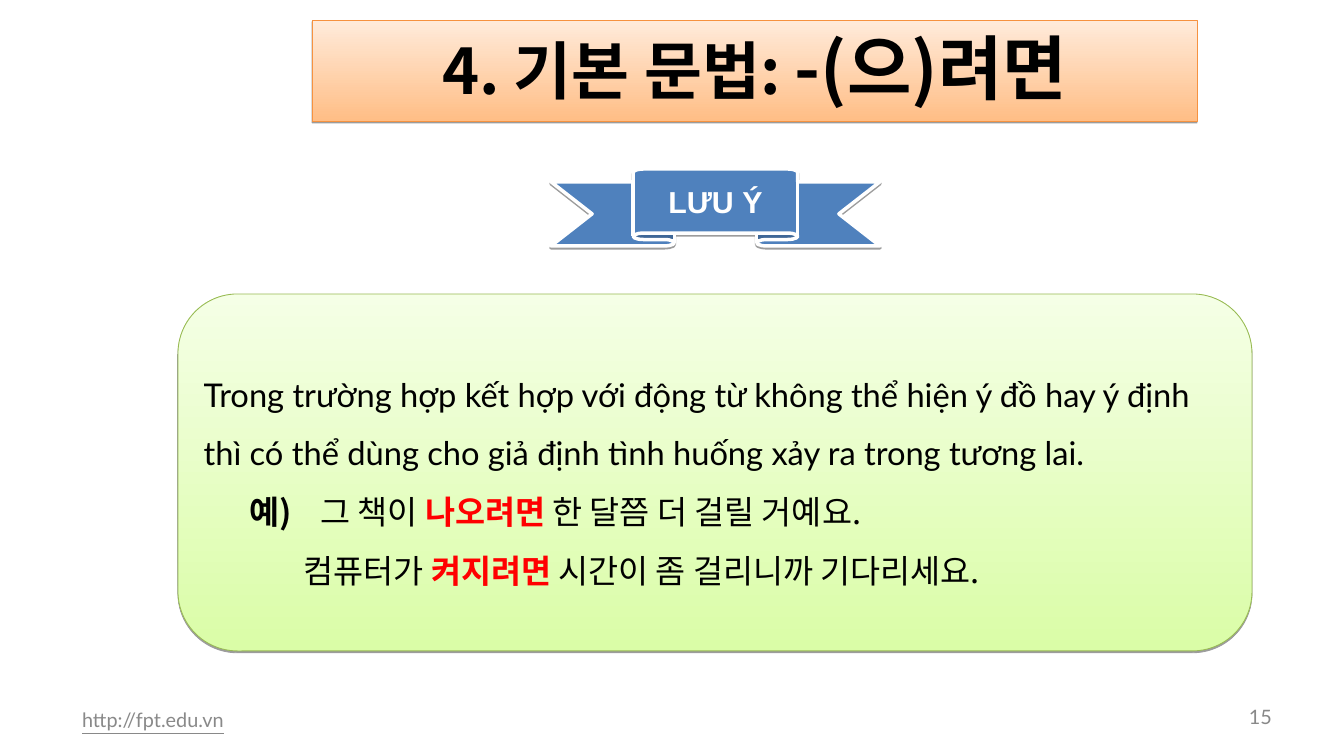
from lxml.etree import SubElement
from pptx import Presentation
from pptx.dml.color import RGBColor as RGB
from pptx.enum.shapes import MSO_SHAPE as SHAPE
from pptx.enum.text import MSO_ANCHOR as ANCHOR, MSO_AUTO_SIZE as AUTO, PP_ALIGN as ALIGN
from pptx.oxml.ns import qn
from pptx.util import Pt

PX = 914400 // 84
KOREAN = "Noto Sans CJK KR"
C = {"black": "000000", "white": "FFFFFF", "red": "FF0000", "grey": "898989",
     "blue": "4F81BD", "orange": "FFBE86", "peach": "FFEBDB", "orange_line": "F69240",
     "lime": "DAFDA7", "mint": "F5FFE6", "green_line": "98B954"}


def write(p, text, size=28, color="black", font=KOREAN, bold=False, underline=None):
    r = p.add_run()
    r.text = text
    f = r.font
    f.size, f.bold, f.underline = Pt(size), bold, underline
    f.color.rgb = RGB.from_string(C[color])
    f.name = font
    SubElement(r._r.get_or_add_rPr(), qn("a:ea"), typeface=font)


def style(sp, fill, line, width):
    """Fill with one colour or a bottom-to-top gradient, then outline and shadow."""
    if len(fill) == 1:
        sp.fill.solid()
        sp.fill.fore_color.rgb = RGB.from_string(C[fill[0]])
    else:
        sp.fill.gradient()
        sp.fill.gradient_angle = 90
        for stop, name in zip(sp.fill.gradient_stops, fill):
            stop.color.rgb = RGB.from_string(C[name])
    sp.line.color.rgb = RGB.from_string(C[line])
    sp.line.width = Pt(width)
    sp.shadow.inherit = False
    effects = sp._element.spPr.find(qn("a:effectLst"))
    shadow = SubElement(effects, qn("a:outerShdw"), blurRad="0", dist=str(Pt(1.6)),
                        dir="5400000", rotWithShape="0")
    black = SubElement(shadow, qn("a:srgbClr"), val=C["black"])
    SubElement(black, qn("a:alpha"), val="38000")


prs = Presentation()
prs.slide_width, prs.slide_height = 1344 * PX, 756 * PX
s = prs.slides.add_slide(prs.slide_layouts[5])

# Title bar
title = s.shapes.title
title.left, title.top, title.width, title.height = [v * PX for v in (312, 20, 885, 101)]
style(title, ("orange", "peach"), "orange_line", 0.75)
tf = title.text_frame
tf.auto_size, tf.word_wrap, tf.vertical_anchor = AUTO.NONE, True, ANCHOR.TOP
p = tf.paragraphs[0]
p.alignment = ALIGN.CENTER
write(p, "4. 기본 문법: ", size=54, bold=True)
write(p, "-(으)려면", size=60, bold=True)

# Footer and slide number
for text, box, align, underline in (
        ("http://fpt.edu.vn", (70, 700, 426, 40), ALIGN.LEFT, True),
        ("15", (1218, 700, 66, 34), ALIGN.RIGHT, None)):
    tf = s.shapes.add_textbox(*[v * PX for v in box]).text_frame
    tf.word_wrap, tf.vertical_anchor = True, ANCHOR.MIDDLE
    tf.margin_left = tf.margin_right = 12 * PX
    tf.margin_top = tf.margin_bottom = 6 * PX
    p = tf.paragraphs[0]
    p.alignment = align
    write(p, text, size=17, color="grey", font="Lato", underline=underline)

# Explanation panel: (left margin, first-line indent, runs)
panel = s.shapes.add_shape(SHAPE.ROUNDED_RECTANGLE, *[v * PX for v in (178, 294, 1074, 357)])
style(panel, ("lime", "mint"), "green_line", 0.75)
tf = panel.text_frame
tf.word_wrap, tf.vertical_anchor = True, ANCHOR.MIDDLE
key = {"color": "red", "bold": True}
lines = [
    (0, 0, [("Trong trường hợp kết hợp với động từ không thể hiện ý đồ hay ý định "
             "thì có thể dùng cho giả định tình huống xảy ra trong tương lai.",
             {"font": "Lato"})]),
    (117, -71, [("예)\t", {"bold": True}), ("그 책이 ", {}), ("나오려면", key),
                (" 한 달쯤 더 걸릴 거예요.", {})]),
    (100, 0, [("컴퓨터가 ", {}), ("켜지려면", key),
              (" 시간이 좀 걸리니까 기다리세요.", {})]),
]
for i, (margin, indent, runs) in enumerate(lines):
    p = tf.add_paragraph() if i else tf.paragraphs[0]
    p.alignment, p.line_spacing = ALIGN.LEFT, 1.5
    pPr = p._p.get_or_add_pPr()
    pPr.set("marL", str(margin * PX))
    pPr.set("indent", str(indent * PX))
    for text, fmt in runs:
        write(p, text, **fmt)

# Ribbon label
ribbon = s.shapes.add_shape(SHAPE.UP_RIBBON, *[v * PX for v in (551, 169, 329, 77)])
style(ribbon, ("blue",), "white", 3)
tf = ribbon.text_frame
tf.word_wrap, tf.vertical_anchor = True, ANCHOR.MIDDLE
p = tf.paragraphs[0]
p.alignment = ALIGN.CENTER
write(p, "LƯU Ý", size=26, color="white", font="Arial", bold=True)

prs.save("out.pptx")
